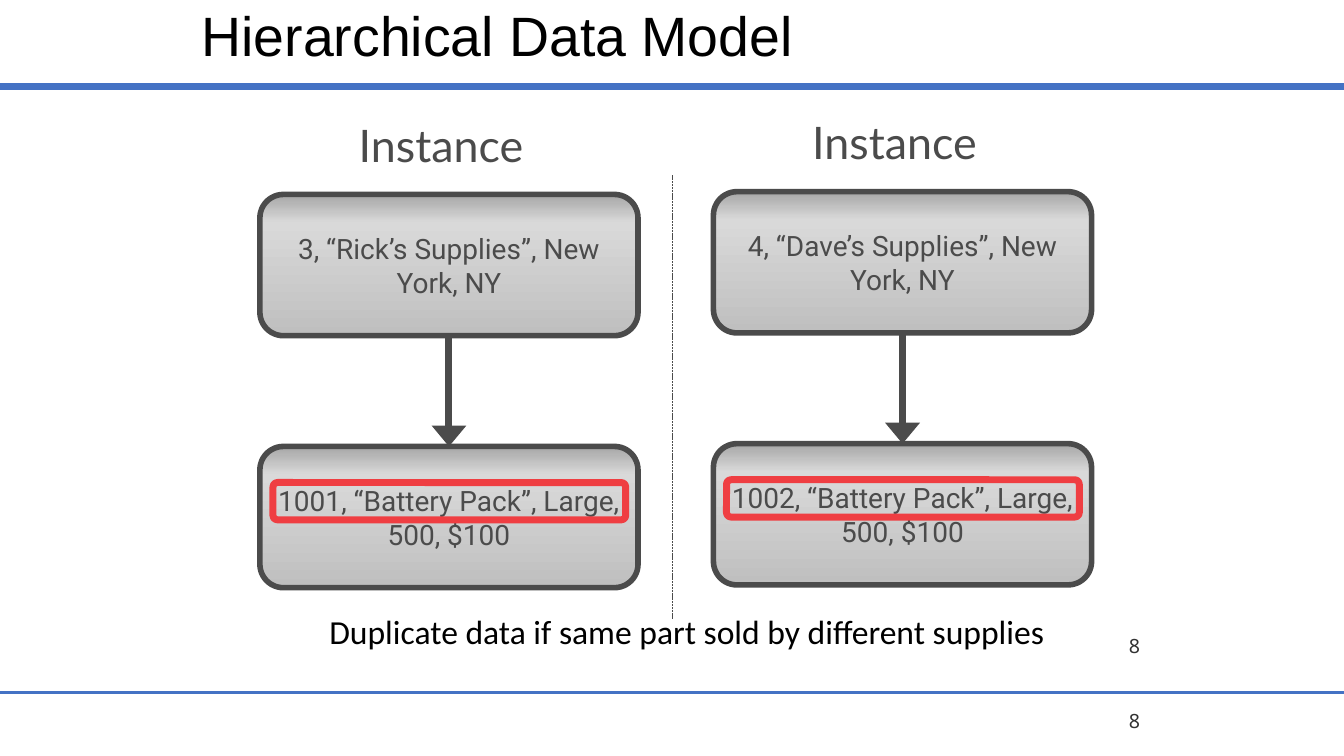
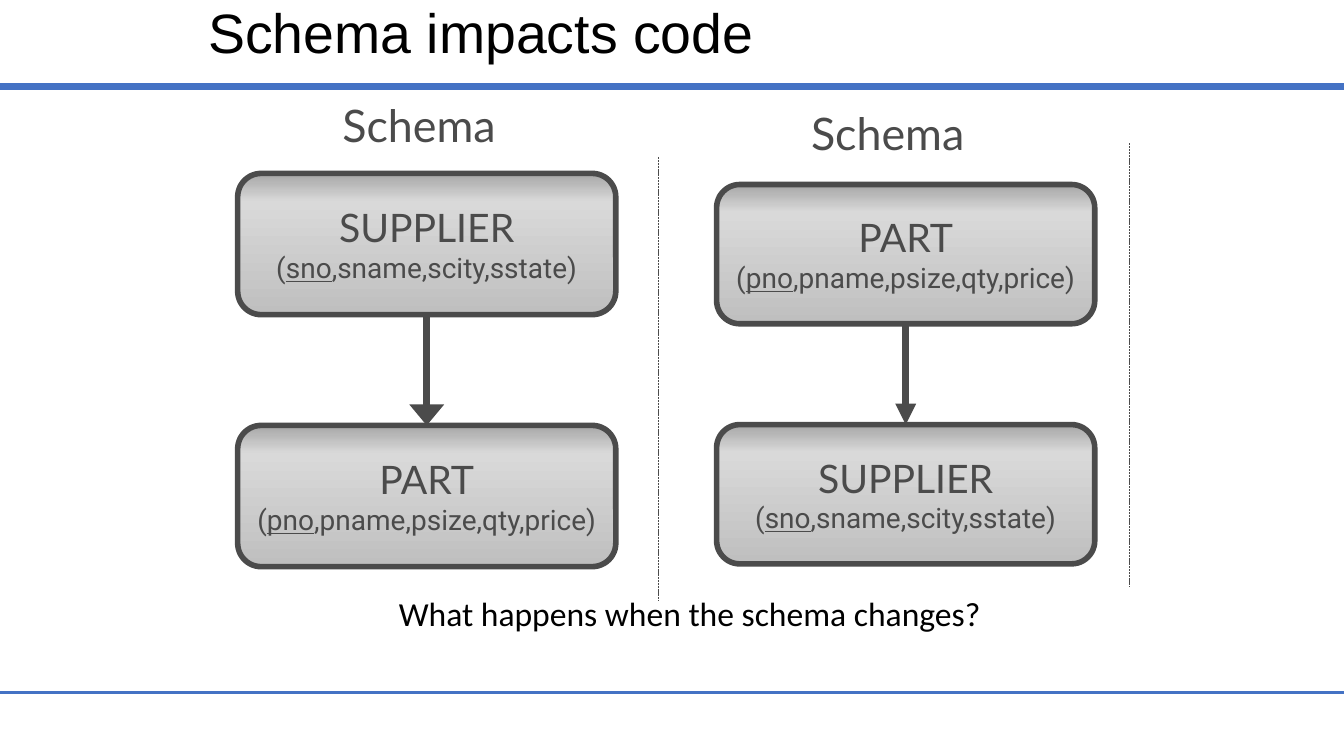
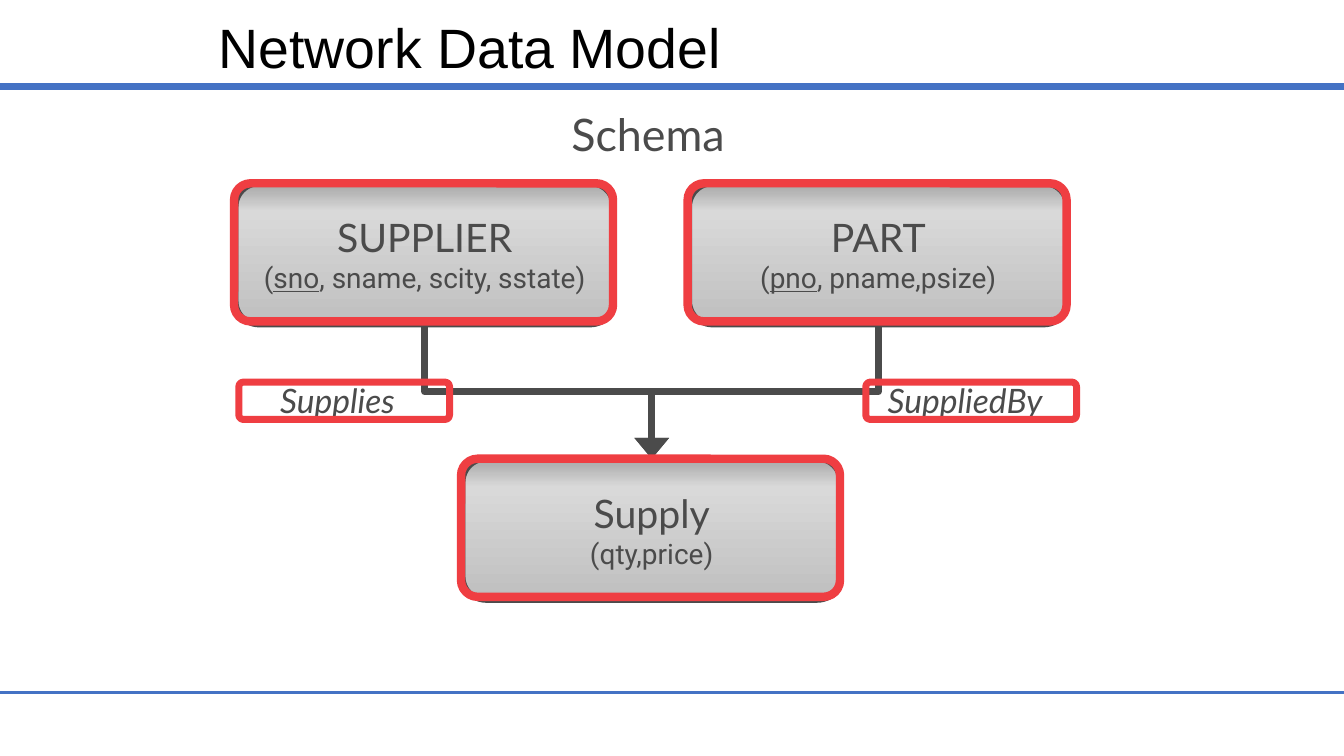
import copy
import dataclasses

import pptx
import pptx.dml.color
import pptx.enum.dml
import pptx.enum.shapes
import pptx.enum.text
import pptx.oxml.ns
import pptx.oxml.xmlchemy
import pptx.util
from pptx.util import Cm

SHAPES = pptx.enum.shapes.MSO_SHAPE
CONNECTORS = pptx.enum.shapes.MSO_CONNECTOR
ANCHORS = pptx.enum.text.MSO_ANCHOR
ALIGNS = pptx.enum.text.PP_ALIGN
qn = pptx.oxml.ns.qn


@dataclasses.dataclass(frozen=True)
class Style:
    font: str
    size: float
    color: str
    italic: bool = False


@dataclasses.dataclass(frozen=True)
class Theme:
    rule: str = "4472C4"
    ink: str = "4B4B4B"
    mark: str = "EF3E42"
    node_stops: tuple = ((0, "A6A6A6"), (0.2, "D9D9D9"), (1, "BFBFBF"))
    title: Style = Style("Arial", 39.6, "000000")
    heading: Style = Style("Lato", 32, "4B4B4B")
    entity: Style = Style("Lato", 28, "4B4B4B")
    fields: Style = Style("Roboto", 20, "4B4B4B")
    relation: Style = Style("Lato", 24, "4B4B4B", True)
    caption: Style = Style("Calibri", 24, "000000")
    number: Style = Style("Noto Sans", 14, "323232")


@dataclasses.dataclass(frozen=True)
class Box:
    left: float
    top: float
    width: float
    height: float

    @property
    def center(self):
        return self.left + self.width / 2

    @property
    def bottom(self):
        return self.top + self.height

    def inner(self, right, down, width, height):
        return Box(self.left + right, self.top + down, width, height)

    def lengths(self):
        return [Cm(v) for v in (self.left, self.top, self.width, self.height)]


THEME = Theme()
PAGE_WIDTH, PAGE_HEIGHT = 33.87, 19.05
NODE_WIDTH, NODE_HEIGHT, NODE_GAP = 9.53, 3.56, 2.79
DIVIDER_LENGTH = 11.18


def rgb(color):
    return pptx.dml.color.RGBColor.from_string(color)


def style_runs(para, style):
    for span in para.runs:
        span.font.name = style.font
        span.font.size = pptx.util.Pt(style.size)
        span.font.color.rgb = rgb(style.color)
        span.font.italic = style.italic


def add_text(page, box, text, style, anchor=ANCHORS.TOP, align=ALIGNS.LEFT):
    frame = page.shapes.add_textbox(*box.lengths()).text_frame
    frame.word_wrap = True
    frame.vertical_anchor = anchor
    frame.text = text
    para = frame.paragraphs[0]
    para.alignment = align
    style_runs(para, style)
    return para


def style_line(line, color, width):
    line.color.rgb = rgb(color)
    line.width = pptx.util.Pt(width)


def add_line(page, start, end, color, width, kind=CONNECTORS.STRAIGHT):
    line = page.shapes.add_connector(kind, *[Cm(v) for v in (*start, *end)])
    style_line(line.line, color, width)
    properties = line.element.spPr
    properties.append(properties.makeelement(qn("a:effectLst"), {}))
    return line


def add_arrowhead(line, breadth):
    outline = line.element.spPr.find(qn("a:ln"))
    sizes = {"type": "triangle", "w": breadth, "len": "med"}
    outline.append(outline.makeelement(qn("a:tailEnd"), sizes))


def add_arrow(page, upper, lower, breadth="lg"):
    line = add_line(page, (upper.center, upper.bottom), (lower.center, lower.top), THEME.ink, 5)
    add_arrowhead(line, breadth)


def add_elbow(page, upper, lower):
    drop = lower.top - upper.bottom
    span = lower.center - upper.center
    middle_x = (upper.center + lower.center) / 2
    middle_y = (upper.bottom + lower.top) / 2
    side = 1 if span > 0 else -1
    start = (middle_x + side * drop / 2, middle_y - abs(span) / 2)
    end = (middle_x - side * drop / 2, middle_y + abs(span) / 2)
    line = add_line(page, start, end, THEME.ink, 5, CONNECTORS.ELBOW)
    turn = 270 if span > 0 else 90
    line.element.spPr.find(qn("a:xfrm")).set("rot", str(turn * 60000))
    add_arrowhead(line, "lg")


def add_divider(page, left, top):
    line = add_line(page, (left, top), (left, top + DIVIDER_LENGTH), THEME.ink, 0.5)
    line.line.dash_style = pptx.enum.dml.MSO_LINE.SQUARE_DOT


def add_mark(page, box, width=5):
    mark = page.shapes.add_shape(SHAPES.ROUNDED_RECTANGLE, *box.lengths())
    mark.adjustments[0] = 0.12
    mark.shadow.inherit = False
    mark.fill.background()
    style_line(mark.line, THEME.mark, width)


def fill_gradient(node):
    node.fill.gradient()
    node.fill.gradient_angle = 270
    stops = node.element.spPr.find(".//" + qn("a:gsLst"))
    stops.append(copy.deepcopy(stops[0]))
    for stop, (position, color) in zip(node.fill.gradient_stops, THEME.node_stops):
        stop.position = position
        stop.color.rgb = rgb(color)


def add_node(page, box, fields, name="", key=""):
    node = page.shapes.add_shape(SHAPES.ROUNDED_RECTANGLE, *box.lengths())
    node.shadow.inherit = False
    fill_gradient(node)
    style_line(node.line, THEME.ink, 4)
    frame = node.text_frame
    frame.word_wrap = True
    frame.vertical_anchor = ANCHORS.MIDDLE
    frame.margin_left = frame.margin_right = Cm(0.13)
    frame.margin_top = frame.margin_bottom = Cm(0.13)
    para = frame.paragraphs[0]
    if name:
        para.text = name
        style_runs(para, THEME.entity)
        para.alignment = ALIGNS.CENTER
        para = frame.add_paragraph()
    para.alignment = ALIGNS.CENTER
    for text in ("(", key, fields) if key else (fields,):
        span = para.add_run()
        span.text = text
        span.font.underline = bool(key) and text == key
    style_runs(para, THEME.fields)


def add_page(deck, title, left, top):
    page = deck.slides.add_slide(deck.slide_layouts[6])
    for height, width in ((2.18, 4.5), (17.45, 1.5)):
        add_line(page, (0, height), (PAGE_WIDTH, height), THEME.rule, width)
    para = add_text(page, Box(left, top, 24.97, 1.93), title, THEME.title, ANCHORS.MIDDLE)
    para.line_spacing = 0.9
    return page


def add_column(page, box, heading, heading_at, nodes, gap=NODE_GAP, breadth="lg"):
    add_text(page, box.inner(*heading_at, 6.05, 1.63), heading, THEME.heading)
    height = (box.height - gap) / 2
    upper = box.inner(0, 0, box.width, height)
    lower = box.inner(0, height + gap, box.width, height)
    for place, content in zip((upper, lower), nodes):
        add_node(page, place, **content)
    add_arrow(page, upper, lower, breadth)
    return lower


def build_instances(deck):
    page = add_page(deck, "Hierarchical Data Model", 4.83, 0)
    for top in (15.77, 17.65):
        add_text(page, Box(23.06, top, 5.92, 1.02), "8", THEME.number, ANCHORS.MIDDLE, ALIGNS.RIGHT)
    columns = (
        (6.55, 4.9, "3, “Rick’s Supplies”, New York, NY", "1001"),
        (17.98, 4.83, "4, “Dave’s Supplies”, New York, NY", "1002"),
    )
    for left, top, supplier, number in columns:
        box = Box(left, top, NODE_WIDTH, 2 * NODE_HEIGHT + NODE_GAP)
        part = f"{number}, “Battery Pack”, Large, 500, $100"
        nodes = ({"fields": supplier}, {"fields": part})
        lower = add_column(page, box, "Instance", (2.24, -2.06), nodes)
        add_mark(page, lower.inner(0.33, 0.91, 8.89, 0.94))
    add_divider(page, 16.94, 4.42)
    caption = "Duplicate data if same part sold by different supplies"
    add_text(page, Box(8.05, 15.27, 18.82, 1.27), caption, THEME.caption)


def build_schemas(deck):
    page = add_page(deck, "Schema impacts code", 5, -0.08)
    supplier = {"name": "SUPPLIER", "key": "sno", "fields": ",sname,scity,sstate)"}
    part = {"name": "PART", "key": "pno", "fields": ",pname,psize,qty,price)"}
    left_box = Box(5.99, 4.37, NODE_WIDTH, 2 * NODE_HEIGHT + NODE_GAP)
    right_box = Box(18.06, 4.65, NODE_WIDTH, 9.56)
    add_column(page, left_box, "Schema", (2.39, -2.03), (supplier, part))
    add_column(page, right_box, "Schema", (2.13, -2.11), (part, supplier), 2.54, "med")
    add_divider(page, 16.59, 3.96)
    add_divider(page, 28.45, 3.61)
    caption = "What happens when the schema changes?"
    add_text(page, Box(9.8, 14.81, 15.34, 1.27), caption, THEME.caption)


def build_network(deck):
    page = add_page(deck, "Network Data Model", 5.26, 0.3)
    add_text(page, Box(14.15, 2.57, 4.7, 1.63), "Schema", THEME.heading)
    supplier, part, supply = (
        Box(left, top, NODE_WIDTH, NODE_HEIGHT)
        for left, top in ((5.94, 4.62), (17.37, 4.62), (11.66, 11.56))
    )
    add_node(page, supplier, ", sname, scity, sstate)", "SUPPLIER", "sno")
    add_node(page, part, ", pname,psize)", "PART", "pno")
    add_node(page, supply, "(qty,price)", "Supply")
    for source in (supplier, part):
        add_elbow(page, source, supply)
    for node in (supplier, part, supply):
        add_mark(page, node.inner(-0.04, 0, 9.55, 3.48), 6)
    for name, left, indent in (("Supplies", 6.02, 0.79), ("SuppliedBy", 21.82, 0.3)):
        label = Box(left, 9.63, 5.31, 0.94)
        add_text(page, label.inner(indent, -0.18, 5.69, 1.27), name, THEME.relation)
        add_mark(page, label)


def main():
    deck = pptx.Presentation()
    deck.slide_width, deck.slide_height = Cm(PAGE_WIDTH), Cm(PAGE_HEIGHT)
    build_instances(deck)
    build_schemas(deck)
    build_network(deck)
    deck.save("out.pptx")


main()
